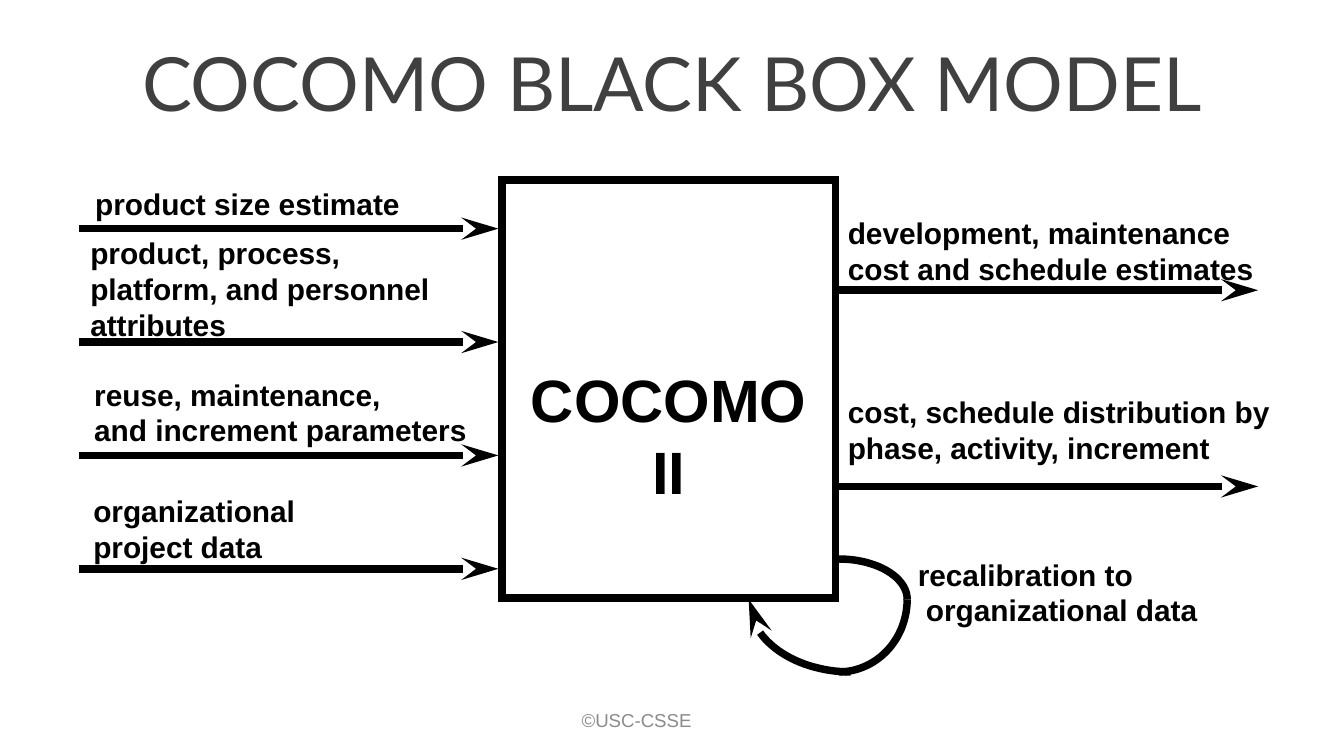
from math import cos, radians, sin

from lxml import etree
from pptx import Presentation
from pptx.dml.color import RGBColor
from pptx.enum.shapes import MSO_CONNECTOR, MSO_SHAPE
from pptx.enum.text import MSO_ANCHOR, PP_ALIGN
from pptx.oxml.ns import qn
from pptx.util import Pt

STRAIGHT = MSO_CONNECTOR.STRAIGHT
RECTANGLE = MSO_SHAPE.RECTANGLE
MIDDLE, TOP = MSO_ANCHOR.MIDDLE, MSO_ANCHOR.TOP
LEFT, CENTER = PP_ALIGN.LEFT, PP_ALIGN.CENTER

COLORS = {"ink": "000000", "paper": "FFFFFF", "title": "404040", "footer": "8B8B8B"}


class Diagram:
    title_font, body_font = "Lato", "Arial"
    stroke = 4
    leading = 1.2

    def __init__(self, slide):
        self.slide = slide

    def color(self, name):
        return RGBColor.from_string(COLORS[name])

    def style(self, paragraph, font, size, color, bold=False, align=LEFT):
        paragraph.alignment = align
        paragraph.font.name = font
        paragraph.font.size = Pt(size)
        paragraph.font.bold = bold
        paragraph.font.color.rgb = self.color(color)

    def outline(self, line):
        line.color.rgb = self.color("ink")
        line.width = Pt(self.stroke)
        etree.SubElement(line._get_or_add_ln(), qn("a:miter"), lim="800000")

    def arrowhead(self, line):
        etree.SubElement(line._get_or_add_ln(), qn("a:tailEnd"),
                         type="stealth", w="med", len="lg")

    def title(self, text, left, top, width, height):
        title = self.slide.shapes.title
        title.left, title.top, title.width, title.height = map(Pt, (left, top, width, height))
        title.text_frame.text = text
        title.text_frame.vertical_anchor = MIDDLE
        self.style(title.text_frame.paragraphs[0], self.title_font, 40, "title", align=CENTER)

    def text(self, lines, left, top, width, height, size=16, color="ink", bold=True,
             align=LEFT, anchor=TOP, wrap=False, last_indent=0):
        frame = self.slide.shapes.add_textbox(*map(Pt, (left, top, width, height))).text_frame
        frame.word_wrap = wrap
        frame.vertical_anchor = anchor
        frame.text = "\n".join(lines)
        for paragraph in frame.paragraphs:
            self.style(paragraph, self.body_font, size, color, bold, align)
            paragraph.line_spacing = Pt(size * self.leading)
        if last_indent:
            frame.paragraphs[-1]._p.get_or_add_pPr().set("marL", str(Pt(last_indent)))

    def label(self, lines, left, top, width, last_indent=0):
        height = 7.2 + len(lines) * 16 * self.leading
        self.text(lines, left, top, width, height, last_indent=last_indent)

    def box(self, left, top, width, height):
        box = self.slide.shapes.add_shape(RECTANGLE, *map(Pt, (left, top, width, height)))
        box.shadow.inherit = False
        box.fill.solid()
        box.fill.fore_color.rgb = self.color("paper")
        self.outline(box.line)

    def arrow(self, start, end, y):
        arrow = self.slide.shapes.add_connector(STRAIGHT, Pt(start), Pt(y), Pt(end), Pt(y))
        self.outline(arrow.line)
        self.arrowhead(arrow.line)
        etree.SubElement(arrow._element.spPr, qn("a:effectLst"))

    def quarter_arc(self, center_x, center_y, radius_x, radius_y, start, head=False):
        angles = [radians(start + step * 3) for step in range(31)]
        points = [(Pt(center_x + radius_x * cos(a)), Pt(center_y + radius_y * sin(a)))
                  for a in angles]
        builder = self.slide.shapes.build_freeform(*points[0])
        builder.add_line_segments(points[1:], close=False)
        arc = builder.convert_to_shape()
        arc.shadow.inherit = False
        arc.fill.background()
        self.outline(arc.line)
        if head:
            self.arrowhead(arc.line)


def main():
    presentation = Presentation()
    presentation.slide_width, presentation.slide_height = Pt(720), Pt(405)
    diagram = Diagram(presentation.slides.add_slide(presentation.slide_layouts[5]))

    diagram.title("COCOMO BLACK BOX MODEL", 36, 10, 648, 67.7)
    diagram.text(["©USC-CSSE"], 164, 375, 354, 21.6, size=10, color="footer",
                 bold=False, align=CENTER, anchor=MIDDLE)

    diagram.box(269, 96.5, 178.5, 224)
    diagram.text(["COCOMO II"], 269, 190.8, 178.5, 84, size=32, align=CENTER, wrap=True)

    for row in range(4):
        diagram.arrow(42.5, 267, 122.5 + row * 60.75)
    for output_y in (155.5, 260.6):
        diagram.arrow(449.3, 674, output_y)

    loop_y = 321.1
    diagram.quarter_arc(449.3, loop_y, 36.7, 21.6, -90)
    diagram.quarter_arc(449.3, loop_y, 36.7, 38.9, 0)
    diagram.quarter_arc(455.8, loop_y, 54.7, 38.9, 90, head=True)

    labels = [
        (["product size estimate"], 43.9, 95.8, 190),
        (["product, process,", "platform, and personnel", "attributes"], 41.3, 122.4, 210),
        (["reuse, maintenance,", "and increment parameters"], 43.4, 198, 222),
        (["organizational", "project data"], 42.9, 260.6, 135),
        (["development, maintenance", "cost and schedule estimates"], 447.1, 111.6, 240),
        (["cost, schedule distribution by", "phase, activity, increment"], 447.1, 207.4, 250),
    ]
    for lines, left, top, width in labels:
        diagram.label(lines, left, top, width)
    diagram.label(["recalibration to", "organizational data"], 484.6, 294.5, 175,
                  last_indent=4.4)

    presentation.save("out.pptx")


if __name__ == "__main__":
    main()
